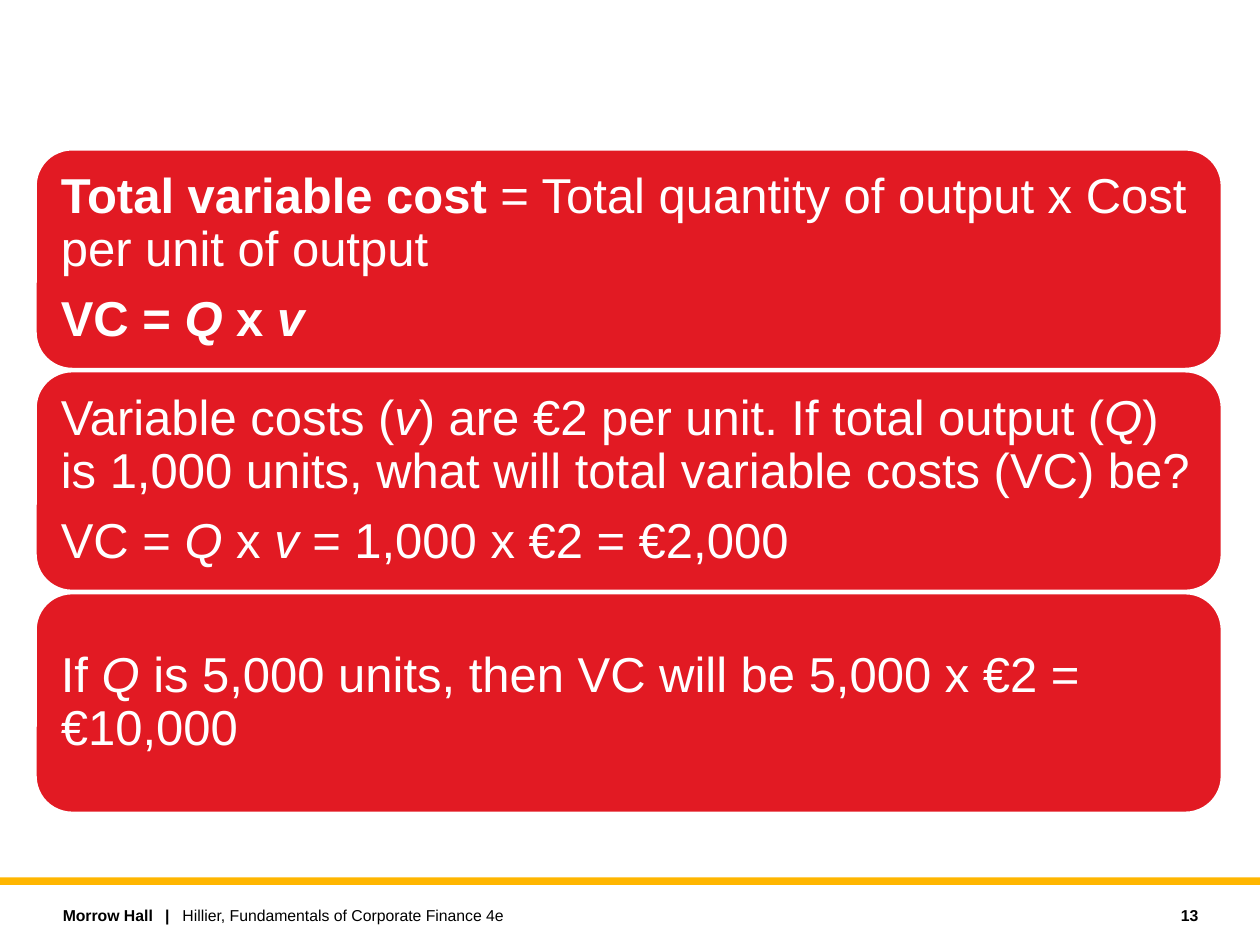
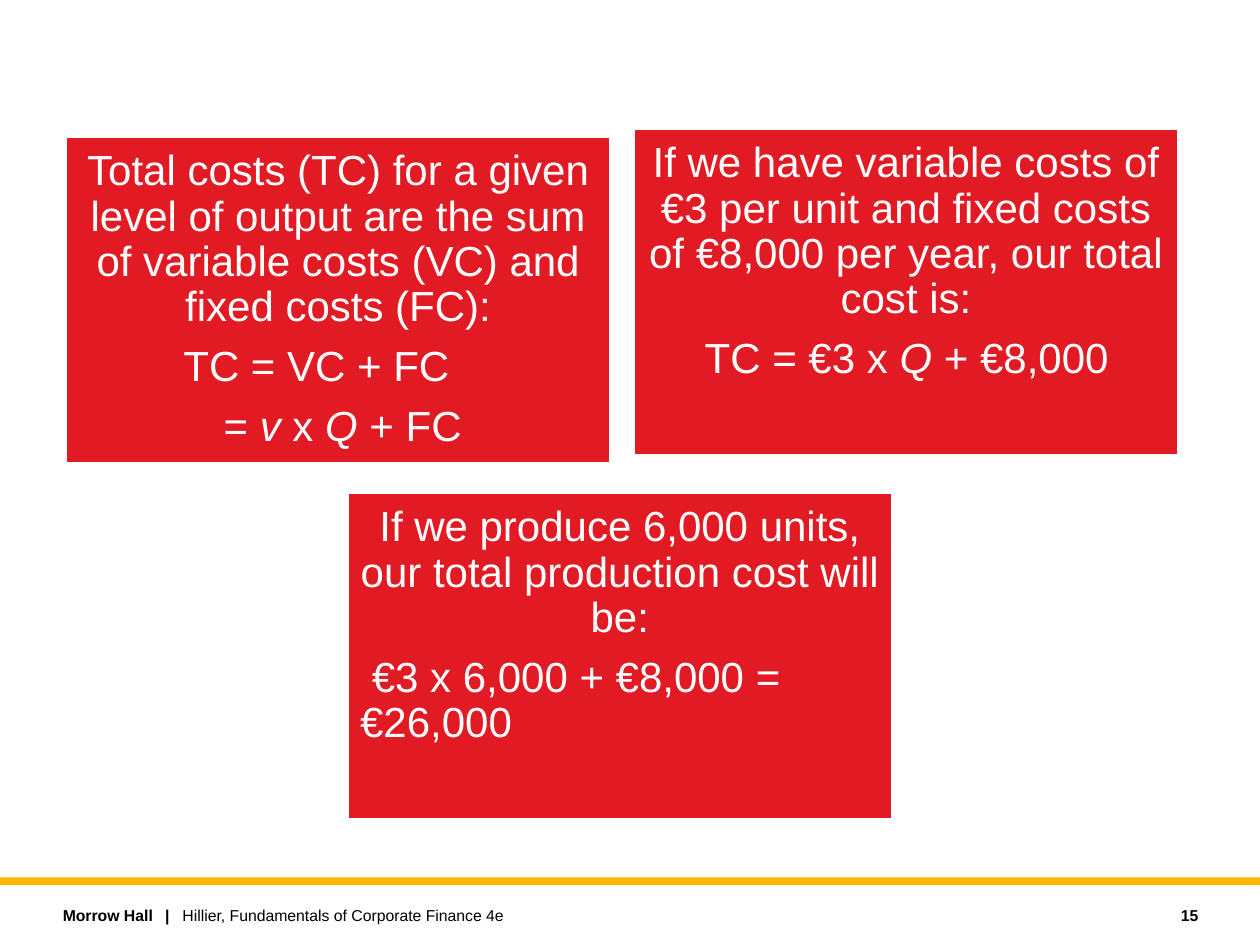
from lxml import etree
from pptx import Presentation
from pptx.dml import color
from pptx.enum import shapes, text
from pptx.oxml import ns
from pptx.util import Pt

RED, AMBER, WHITE, BLACK = "E21A23", "FFB600", "FFFFFF", "000000"
FONT = "Arial"
SLIDE_WIDTH, SLIDE_HEIGHT = 720, 540
LEFT, CENTER, RIGHT = text.PP_ALIGN.LEFT, text.PP_ALIGN.CENTER, text.PP_ALIGN.RIGHT
TOP, MIDDLE = text.MSO_ANCHOR.TOP, text.MSO_ANCHOR.MIDDLE


def rgb(value):
    return color.RGBColor.from_string(value)


def add_panel(slide, kind, box, fill, line=None):
    shape = slide.shapes.add_shape(kind, *map(Pt, box))
    shape.shadow.inherit = False
    shape.fill.solid()
    shape.fill.fore_color.rgb = rgb(fill)
    if line:
        shape.line.color.rgb = rgb(line)
        shape.line.width = Pt(1.5)
    else:
        shape.line.fill.background()
    return shape


def set_frame(shape, anchor, inset_x, inset_y):
    frame = shape.text_frame
    frame.word_wrap = True
    frame.vertical_anchor = anchor
    frame.margin_left = frame.margin_right = Pt(inset_x)
    frame.margin_top = frame.margin_bottom = Pt(inset_y)
    return frame


def add_runs(paragraph, runs, size, ink):
    """Each run is (text, style), where style holds b for bold, i for italic."""
    for words, style in runs:
        run = paragraph.add_run()
        run.text = words
        run.font.name = FONT
        run.font.size = Pt(size)
        run.font.bold = "b" in style
        run.font.italic = "i" in style
        run.font.color.rgb = rgb(ink)


def fill_panel(frame, paragraphs, size):
    """Each paragraph is (alignment, left margin, first-line indent, runs)."""
    for index, (alignment, margin, indent, runs) in enumerate(paragraphs):
        paragraph = frame.paragraphs[0] if index == 0 else frame.add_paragraph()
        properties = paragraph._p.get_or_add_pPr()
        properties.set("marL", str(Pt(margin)))
        properties.set("indent", str(Pt(indent)))
        paragraph.alignment = alignment
        paragraph.line_spacing = 0.9
        if index < len(paragraphs) - 1:
            paragraph.space_after = Pt(0.35 * size)
        add_runs(paragraph, runs, size, WHITE)


def add_footer_text(slide, left, width, runs, alignment=LEFT, tab=None):
    shape = slide.shapes.add_textbox(Pt(left), Pt(514), Pt(width), Pt(18))
    paragraph = set_frame(shape, MIDDLE, 7.2, 3.6).paragraphs[0]
    paragraph.alignment = alignment
    if tab:
        tab_list = etree.SubElement(paragraph._p.get_or_add_pPr(), ns.qn("a:tabLst"))
        etree.SubElement(tab_list, ns.qn("a:tab"), pos=str(Pt(tab)), algn="l")
    add_runs(paragraph, runs, 9, BLACK)


def add_footer(slide, number):
    add_panel(slide, shapes.MSO_SHAPE.RECTANGLE, (0, 501.3, SLIDE_WIDTH, 4.4), AMBER)
    add_footer_text(slide, 28.8, 122, [("Morrow Hall\t|", "b")], tab=58.5)
    add_footer_text(slide, 97.2, 432,
                    [("Hillier, Fundamentals of Corporate Finance 4e", "")])
    add_footer_text(slide, 616.3, 75.6, [(number, "b")], RIGHT)


def add_stacked_panels(slide, box, panels):
    """Rounded panels of equal height, one above the other."""
    left, top, width, height = box
    gap = 1.2
    panel_height = (height - gap * (len(panels) - 1)) / len(panels)
    for index, paragraphs in enumerate(panels):
        panel_top = top + index * (panel_height + gap)
        shape = add_panel(slide, shapes.MSO_SHAPE.ROUNDED_RECTANGLE,
                          (left, panel_top, width, panel_height), RED, WHITE)
        fill_panel(set_frame(shape, MIDDLE, 8.4, 8.4), paragraphs, 28)


def add_cost_cards(slide, box, cards):
    """Square-cornered cards, each offset from the corner of the box."""
    left, top = box
    for (across, down), paragraphs in cards:
        shape = add_panel(slide, shapes.MSO_SHAPE.RECTANGLE,
                          (left + across, top + down, 311, 186.5), RED, WHITE)
        fill_panel(set_frame(shape, TOP, 7.2, 7.2), paragraphs, 24)


VARIABLE_COST_PANELS = [
    [(LEFT, 0, 0, [("Total variable cost ", "b"),
                   ("= Total quantity of output x Cost per unit of output", "")]),
     (LEFT, 0, 0, [("VC = ", "b"), ("Q", "bi"), (" x ", "b"), ("v", "bi")])],
    [(LEFT, 0, 0, [("Variable costs (", ""), ("v", "i"),
                   (") are €2 per unit. If total output (", ""), ("Q", "i"),
                   (") is 1,000 units, what will total variable costs (VC) be?", "")]),
     (LEFT, 0, 0, [("VC = ", ""), ("Q", "i"), (" x ", ""), ("v ", "i"),
                   ("= 1,000 x €2 = €2,000", "")])],
    [(LEFT, 0, 0, [("If ", ""), ("Q ", "i"),
                   ("is 5,000 units, then VC will be 5,000 x €2 = €10,000", "")])],
]

TOTAL_COST_CARDS = [
    ((0, 4.5),
     [(CENTER, 0, 0, [("Total costs (TC) for a given level of output are the sum of "
                       "variable costs (VC) and fixed costs (FC):", "")]),
      (LEFT, 60, 0, [("TC = VC + FC", "")]),
      (LEFT, 83, 0, [("= ", ""), ("v", "i"), (" x ", ""), ("Q", "i"), (" + FC", "")])]),
    ((324.5, 0),
     [(CENTER, 0, 0, [("If we have variable costs of €3 per unit and fixed costs of "
                       "€8,000 per year, our total cost is:", "")]),
      (LEFT, 33.4, 0, [("TC = €3 x ", ""), ("Q ", "i"), ("+ €8,000", "")])]),
    ((161, 208),
     [(CENTER, 0, 0, [("If we produce 6,000 units, our total production cost "
                       "will be:", "")]),
      (LEFT, 0, 6.7, [("€3 x 6,000 + €8,000 = €26,000", "")])]),
]


def add_slide(presentation, number):
    slide = presentation.slides.add_slide(presentation.slide_layouts[6])
    add_footer(slide, number)
    return slide


def main():
    presentation = Presentation()
    presentation.slide_width, presentation.slide_height = Pt(SLIDE_WIDTH), Pt(SLIDE_HEIGHT)
    # Variable costs
    add_stacked_panels(add_slide(presentation, "13"), (20.3, 85.3, 678, 379.2),
                       VARIABLE_COST_PANELS)
    # Total costs
    add_cost_cards(add_slide(presentation, "15"), (37.7, 73.7), TOTAL_COST_CARDS)
    presentation.save("out.pptx")


if __name__ == "__main__":
    main()
